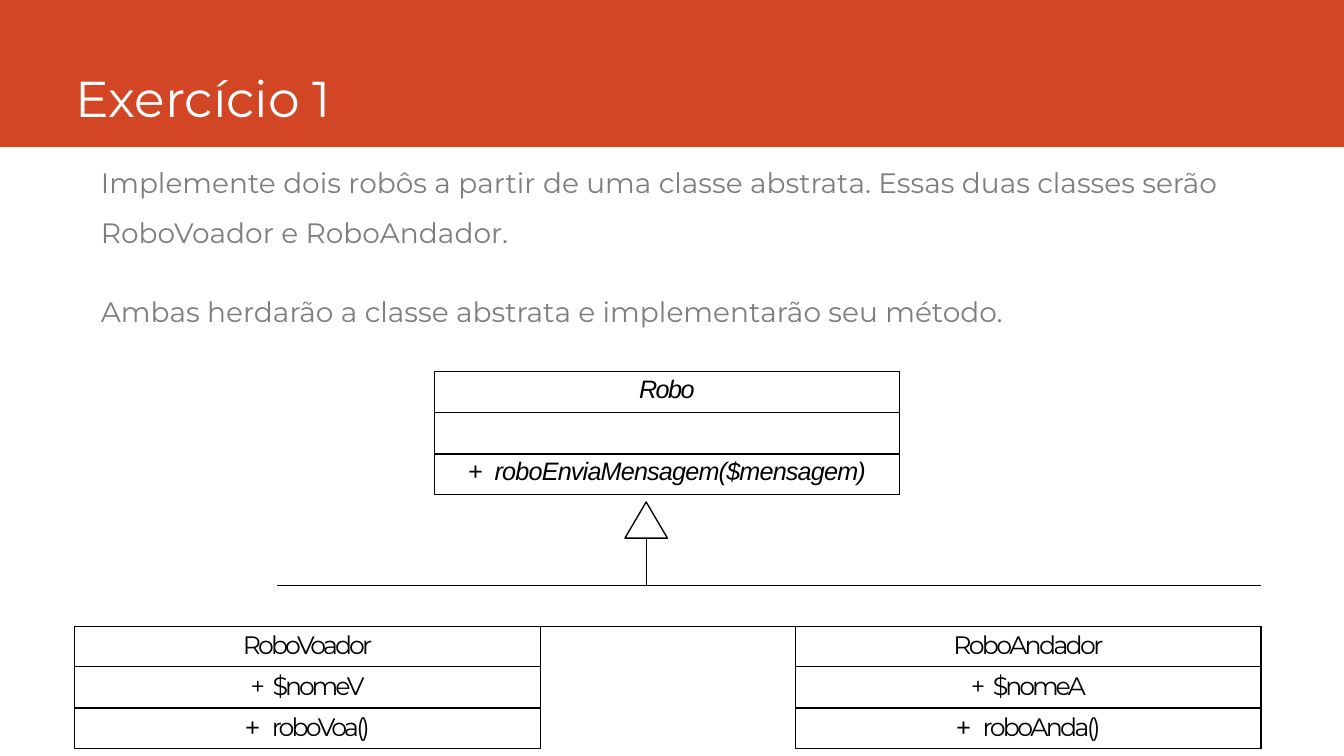
from pptx import Presentation
from pptx import util as u
from pptx.dml import color
from pptx.enum import shapes, text
from pptx.oxml import ns
from lxml import etree

Cm = u.Cm
THEME = dict(
    red=color.RGBColor.from_string("D24625"),
    white=color.RGBColor.from_string("FFFFFF"),
    grey=color.RGBColor.from_string("7E7E7E"),
    black=color.RGBColor.from_string("000000"),
    title=36, body=20, label=18, main="Montserrat", uml="Arial",
)
PLAIN = "{2D5ABB26-0587-4C30-8999-92F81FD0307C}"


def write(par, words, size="label", tone="black", font="main",
          italic=False, gap=0, before=0, align=text.PP_ALIGN.LEFT):
    par.alignment = align
    par.space_before, par.space_after = u.Pt(before), u.Pt(0)
    run = par.add_run()
    run.text = words
    run.font.size = u.Pt(THEME[size])
    run.font.name = THEME[font]
    run.font.color.rgb = THEME[tone]
    run.font.italic = italic
    run.font.bold = False
    if gap:
        run.font._element.set("spc", str(round(gap * 100)))


def edge(cell, sides, width=1):
    props = cell._tc.get_or_add_tcPr()
    for spot, side in enumerate(sides):
        line = etree.Element(ns.qn("a:ln" + side), w=str(u.Pt(width)))
        fill = etree.SubElement(line, ns.qn("a:solidFill"))
        etree.SubElement(fill, ns.qn("a:srgbClr"), val=str(THEME["black"]))
        props.insert(spot, line)


deck = Presentation()
deck.slide_width, deck.slide_height = Cm(33.87), Cm(19.05)
slide = deck.slides.add_slide(deck.slide_layouts[1])
parts = slide.shapes

band = parts.add_shape(shapes.MSO_SHAPE.RECTANGLE, 0, 0, deck.slide_width, Cm(3.71))
band.shadow.inherit = False
band.fill.solid()
band.fill.fore_color.rgb = THEME["red"]
band.line.fill.background()
parts._spTree.insert(2, band._element)

title, body = parts.title, slide.placeholders[1]
for holder, place, top in [
    (title, (1.91, 1.65, 11.23, 1.57), 0.03),
    (body, (2.54, 3.71, 29.85, 5.46), 0.46),
]:
    holder.left, holder.top, holder.width, holder.height = map(Cm, place)
    frame = holder.text_frame
    frame.margin_left = frame.margin_right = frame.margin_bottom = 0
    frame.margin_top = Cm(top)
    frame.vertical_anchor = text.MSO_ANCHOR.TOP
    frame.auto_size = text.MSO_AUTO_SIZE.NONE
    frame.word_wrap = True

write(title.text_frame.paragraphs[0], "Exercício 1", size="title", tone="white")

lines = [
    ("Implemente dois robôs a partir de uma classe abstrata. Essas duas classes serão", 12.9),
    ("RoboVoador e RoboAndador.", 12),
    ("Ambas herdarão a classe abstrata e implementarão seu método.", 32),
]
for spot, (words, before) in enumerate(lines):
    frame = body.text_frame
    par = frame.add_paragraph() if spot else frame.paragraphs[0]
    write(par, words, size="body", tone="grey", before=before)
    props = par._p.get_or_add_pPr()
    props.set("marL", "0")
    props.set("indent", "0")
    etree.SubElement(props, ns.qn("a:buNone"))

grids = []
for left, top, cols, rows in [
    (10.95, 9.37, [11.71], [1.03, 1.04, 1.03]),
    (1.88, 13.59, [5.11, 6.63, 2.67, 3.76, 5.89, 5.84], [1.17, 1.02, 1.02, 1.04, 1.02]),
]:
    frame = parts.add_table(len(rows), len(cols), Cm(left), Cm(top),
                            Cm(sum(cols)), Cm(sum(rows)))
    grid = frame.table
    grid.first_row = grid.horz_banding = False
    grid._tbl.tblPr.find(ns.qn("a:tableStyleId")).text = PLAIN
    for col, width in zip(grid.columns, cols):
        col.width = Cm(width)
    for row, height in zip(grid.rows, rows):
        row.height = Cm(height)
    for cell in grid.iter_cells():
        cell.fill.background()
        cell.margin_left = cell.margin_right = cell.margin_bottom = 0
        cell.margin_top = Cm(0.1)
    grids.append(grid)
base, tree = grids

for first, last in [((0, 0), (0, 2)), ((0, 3), (0, 5)), ((1, 1), (1, 4)), ((2, 2), (4, 3))]:
    tree.cell(*first).merge(tree.cell(*last))
edge(tree.cell(0, 0), "R", 0.5)
edge(tree.cell(0, 2), "R", 0.5)
edge(tree.cell(0, 3), "L", 0.5)
for col in range(6):
    if col:
        edge(tree.cell(1, col), "T", 0.5)
    edge(tree.cell(1, col), "B")
edge(tree.cell(2, 2), "LRT")
edge(tree.cell(2, 3), "RT")

sign = dict(font="uml", italic=True, gap=1.8)
boxes = [
    (base, 0, 0, 1, [
        [("Robo", dict(font="uml", italic=True, gap=-1.1))],
        [],
        [("+ ", sign),
         ("roboEnviaMensagem($mensagem)", dict(font="uml", italic=True, gap=-0.6))],
    ]),
    (tree, 2, 0, 2, [
        [("RoboVoador", dict(gap=-2.1))],
        [("+ ", dict(gap=0.4)), ("$nomeV", dict(gap=-2.2))],
        [("+ ", sign), ("roboVoa()", dict(gap=-2))],
    ]),
    (tree, 2, 4, 2, [
        [("RoboAndador", dict(gap=-1.9))],
        [("+ ", dict(gap=0.4)), ("$nomeA", dict(gap=-2.2))],
        [("+ ", sign), ("roboAnda()", dict(gap=-1.9))],
    ]),
]
for grid, top, left, span, rows in boxes:
    for row, runs in enumerate(rows, top):
        cell = grid.cell(row, left)
        if span > 1:
            end = grid.cell(row, left + span - 1)
            cell.merge(end)
            edge(end, "RTB")
        edge(cell, "LRTB")
        for words, form in runs:
            write(cell.text_frame.paragraphs[0], words, before=3.2,
                  align=text.PP_ALIGN.CENTER, **form)

head = parts.add_shape(shapes.MSO_SHAPE.ISOSCELES_TRIANGLE,
                       Cm(15.75), Cm(12.65), Cm(1.07), Cm(0.91))
head.shadow.inherit = False
head.fill.background()
head.line.color.rgb = THEME["black"]
head.line.width = u.Pt(0.96)

deck.save("out.pptx")
